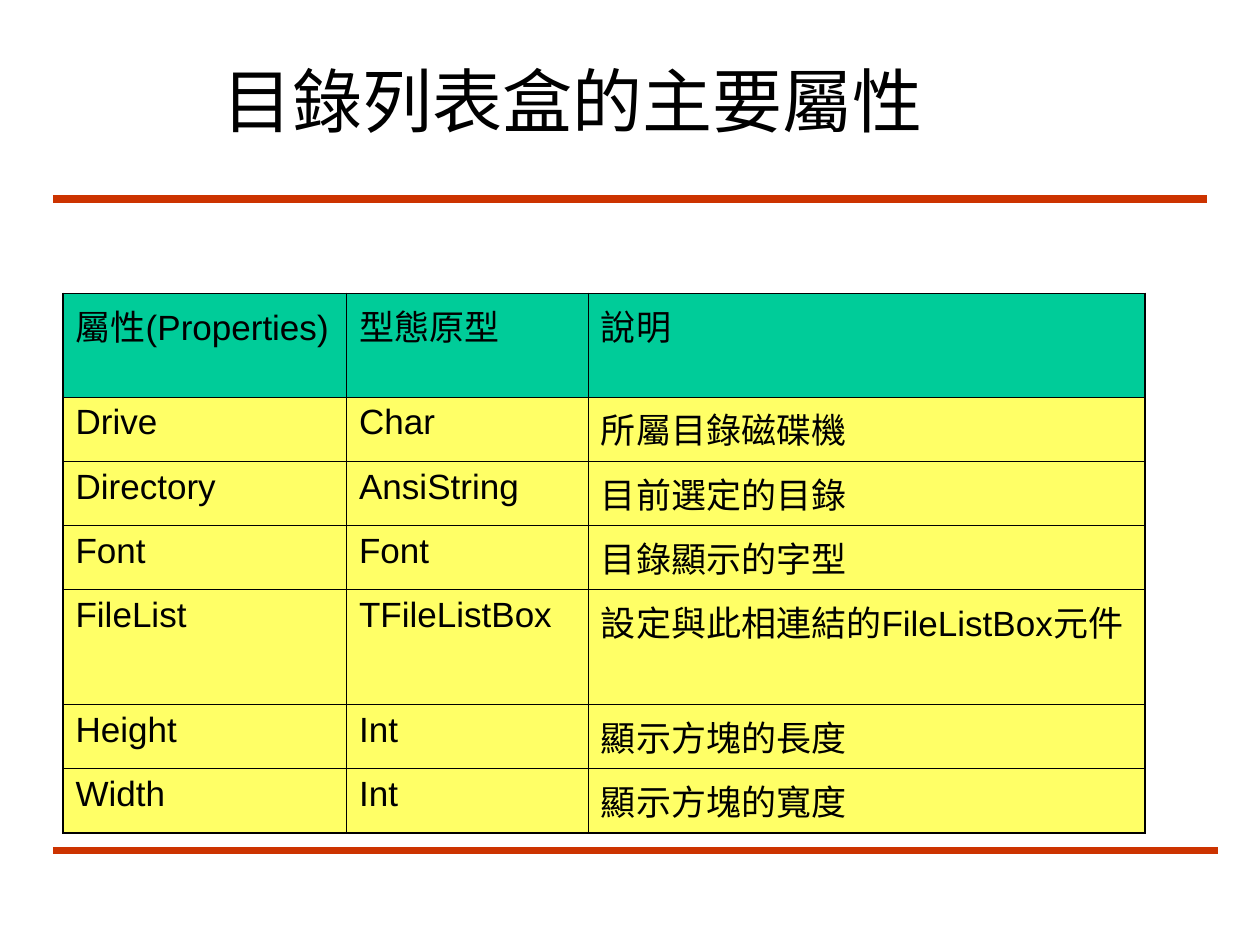
"""Build a slide listing the main properties of a directory list box."""
from lxml import etree
from pptx import Presentation
from pptx.dml.color import RGBColor
from pptx.enum.shapes import MSO_CONNECTOR
from pptx.enum.text import MSO_ANCHOR, PP_ALIGN
from pptx.oxml.ns import qn
from pptx.util import Inches, Pt

STRAIGHT = MSO_CONNECTOR.STRAIGHT
MIDDLE = MSO_ANCHOR.MIDDLE
LEFT = PP_ALIGN.LEFT

BLACK = RGBColor(0x00, 0x00, 0x00)
RED = RGBColor(0xCC, 0x33, 0x00)
GREEN = RGBColor(0x00, 0xCC, 0x99)
YELLOW = RGBColor(0xFF, 0xFF, 0x66)

FONT = "Arial"
THIN, THICK = Pt(0.45), Pt(1.08)
COLUMN_WIDTHS = [2.25, 1.92, 4.42]
ROW_HEIGHTS = [0.82, 0.51, 0.51, 0.51, 0.91, 0.51, 0.51]
PROPERTIES = [
    ("屬性(Properties)", "型態原型", "說明"),
    ("Drive", "Char", "所屬目錄磁碟機"),
    ("Directory", "AnsiString", "目前選定的目錄"),
    ("Font", "Font", "目錄顯示的字型"),
    ("FileList", "TFileListBox", "設定與此相連結的FileListBox元件"),
    ("Height", "Int", "顯示方塊的長度"),
    ("Width", "Int", "顯示方塊的寬度"),
]


def write_text(frame, text, size, space_before=0):
    """Write one left-aligned paragraph into a text frame."""
    para = frame.paragraphs[0]
    para.alignment = LEFT
    para.space_before = Pt(space_before)
    span = para.add_run()
    span.text = text
    span.font.name = FONT
    span.font.size = Pt(size)
    span.font.bold = False
    span.font.color.rgb = BLACK


def add_title(page, text):
    """Add the title box."""
    box = page.shapes.add_textbox(Inches(1.67), Inches(0.33), Inches(7.58), Inches(0.92))
    box.text_frame.word_wrap = True
    box.text_frame.vertical_anchor = MIDDLE
    write_text(box.text_frame, text, size=40)


def add_rule(page, right, top):
    """Add a thick horizontal rule from the left margin."""
    rule = page.shapes.add_connector(
        STRAIGHT, Inches(0.42), Inches(top), Inches(right), Inches(top))
    rule.line.color.rgb = RED
    rule.line.width = Pt(4.5)
    etree.SubElement(rule._element.spPr, qn("a:effectLst"))


def set_borders(cell, widths):
    """Draw the left, right, top and bottom borders of a cell."""
    properties = cell._tc.get_or_add_tcPr()
    for side, width in zip("LRTB", widths):
        line = etree.SubElement(properties, qn(f"a:ln{side}"), w=str(width))
        fill = etree.SubElement(line, qn("a:solidFill"))
        etree.SubElement(fill, qn("a:srgbClr"), val=str(BLACK))


def add_property_table(page):
    """Add the table with a heavier outer frame."""
    row_count, column_count = len(ROW_HEIGHTS), len(COLUMN_WIDTHS)
    table = page.shapes.add_table(
        row_count, column_count, Inches(0.5), Inches(2.33),
        Inches(sum(COLUMN_WIDTHS)), Inches(sum(ROW_HEIGHTS))).table
    table.first_row = False
    table.horz_banding = False
    for column, width in zip(table.columns, COLUMN_WIDTHS):
        column.width = Inches(width)
    for r, (height, texts) in enumerate(zip(ROW_HEIGHTS, PROPERTIES)):
        table.rows[r].height = Inches(height)
        for c, text in enumerate(texts):
            cell = table.cell(r, c)
            outer = (c == 0, c == column_count - 1, r == 0, r == row_count - 1)
            set_borders(cell, [THICK if edge else THIN for edge in outer])
            cell.fill.solid()
            cell.fill.fore_color.rgb = GREEN if r == 0 else YELLOW
            write_text(cell.text_frame, text, size=20, space_before=5)


def main():
    """Build and save the deck."""
    deck = Presentation()
    deck.slide_width = Inches(10)
    deck.slide_height = Inches(7.5)
    page = deck.slides.add_slide(deck.slide_layouts[6])
    add_rule(page, right=9.58, top=1.58)
    add_rule(page, right=9.67, top=6.75)
    add_title(page, "目錄列表盒的主要屬性")
    add_property_table(page)
    deck.save("out.pptx")


if __name__ == "__main__":
    main()
